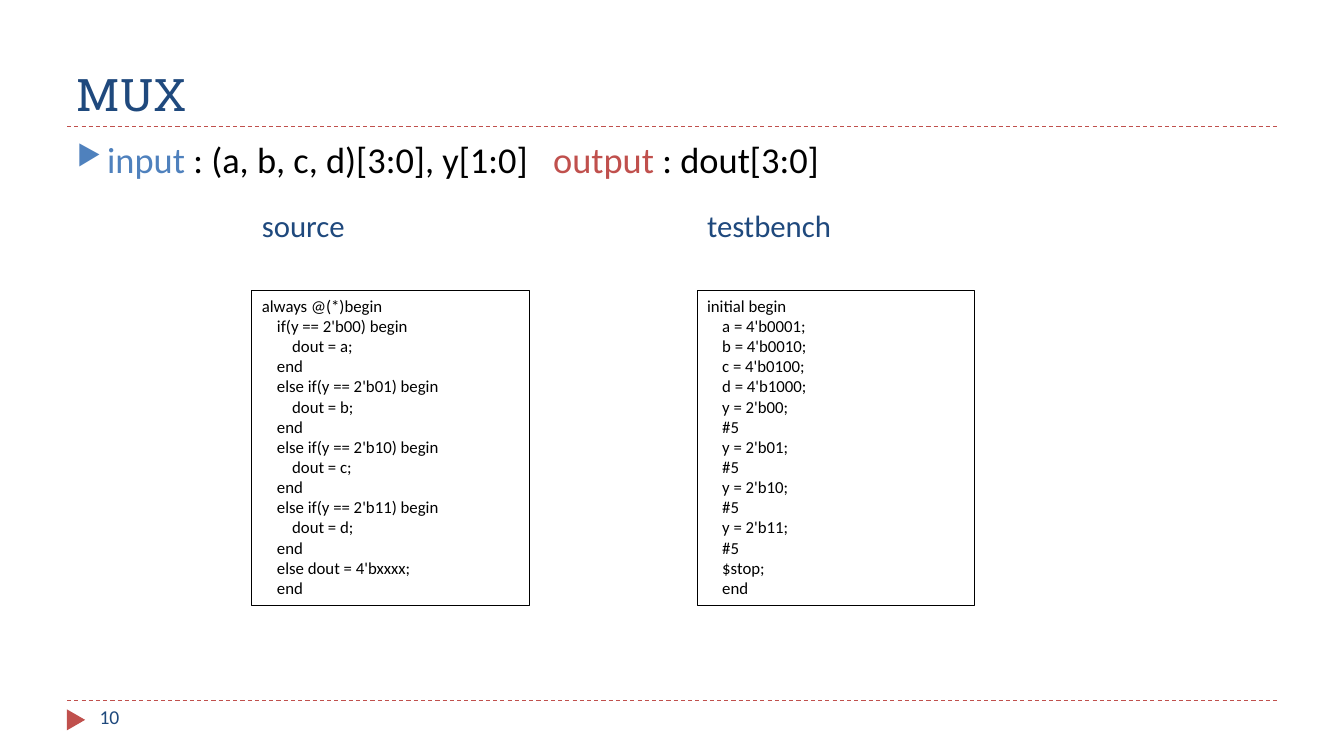
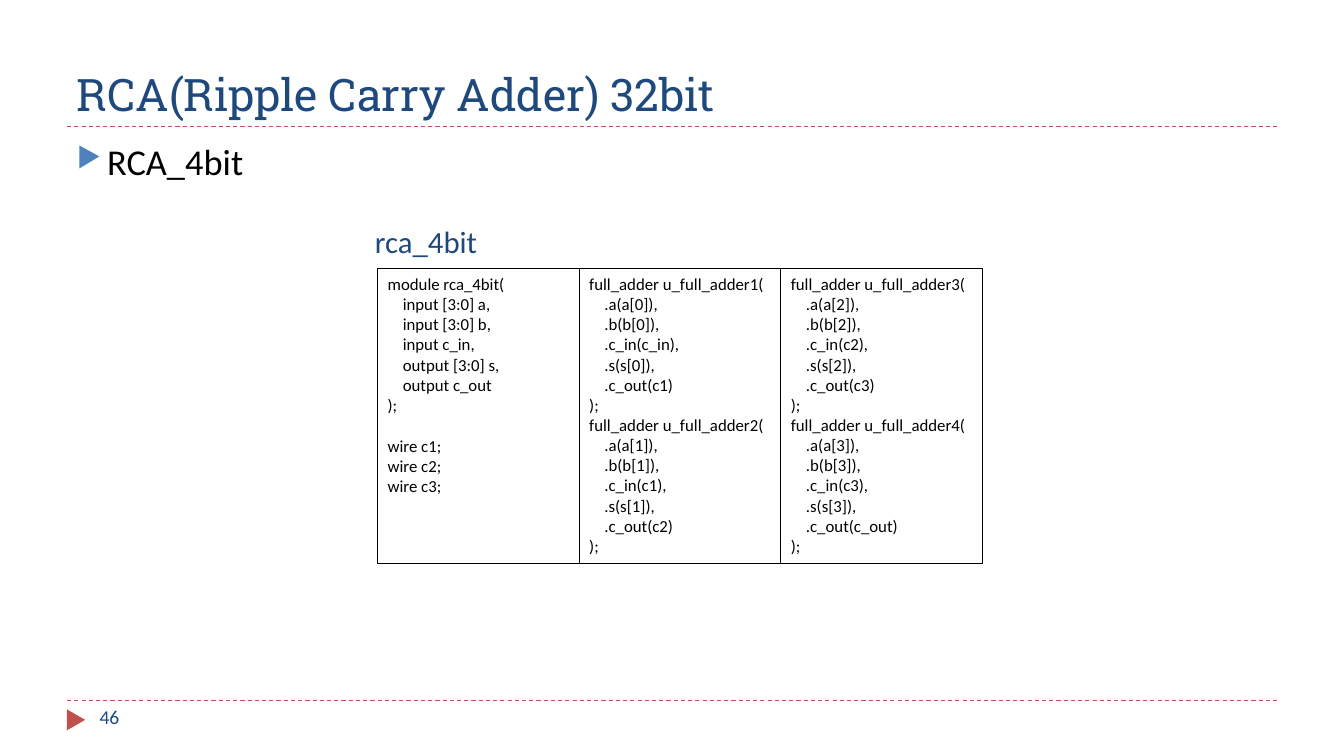
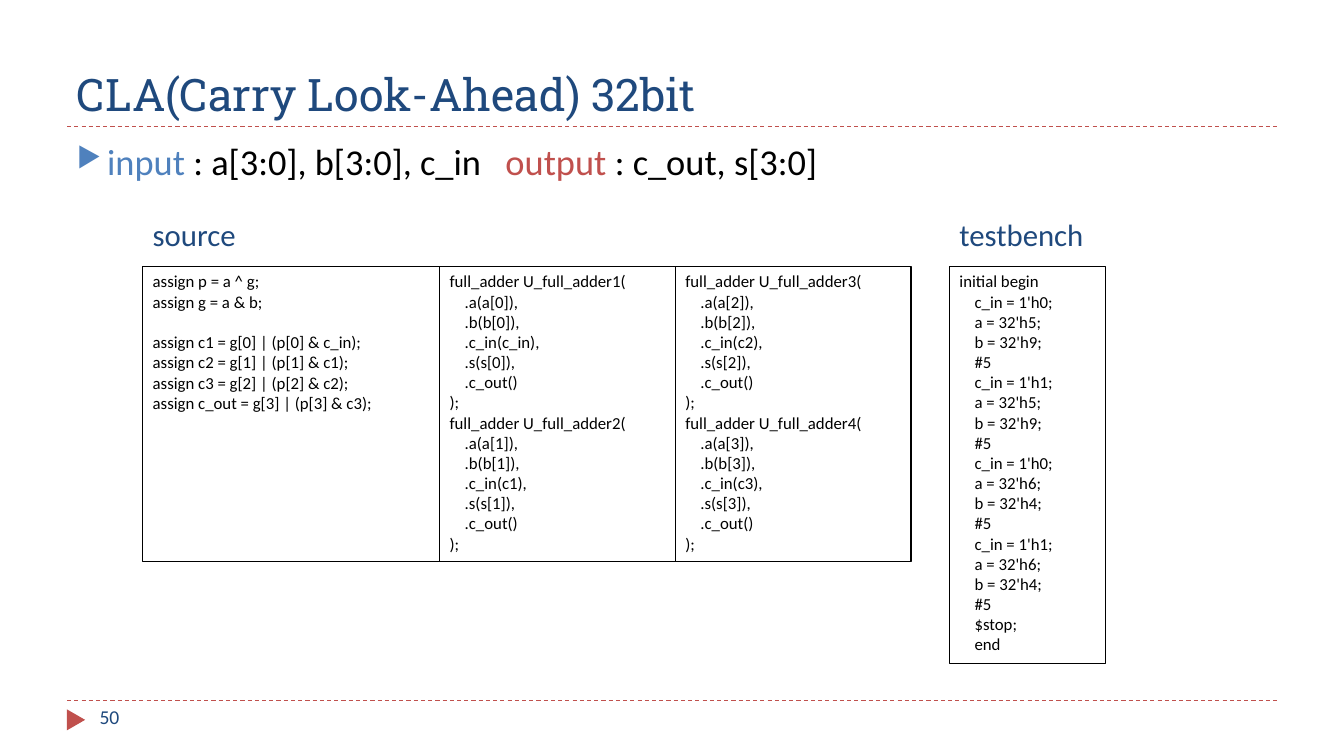
from lxml import etree
from pptx import Presentation
from pptx.dml.color import RGBColor
from pptx.enum.dml import MSO_LINE
from pptx.enum.shapes import MSO_CONNECTOR, MSO_SHAPE
from pptx.enum.text import MSO_ANCHOR, PP_ALIGN
from pptx.oxml.ns import qn
from pptx.util import Cm, Pt

STRAIGHT = MSO_CONNECTOR.STRAIGHT
RECTANGLE = MSO_SHAPE.RECTANGLE
TRIANGLE = MSO_SHAPE.ISOSCELES_TRIANGLE
DASH = MSO_LINE.DASH
TOP, BOTTOM = MSO_ANCHOR.TOP, MSO_ANCHOR.BOTTOM
LEFT = PP_ALIGN.LEFT

# Theme: colours, type styles and line width
THEME = {
    "navy": RGBColor(0x1F, 0x49, 0x7D),
    "blue": RGBColor(0x4F, 0x81, 0xBD),
    "red": RGBColor(0xC0, 0x50, 0x4D),
    "black": RGBColor(0, 0, 0),
    "title": {"name": "Roboto Slab", "size": Pt(32)},
    "body": {"name": "Calibri", "size": Pt(26)},
    "label": {"name": "Calibri", "size": Pt(22)},
    "number": {"name": "Calibri", "size": Pt(14)},
    "code": {"name": "Calibri", "size": Pt(12)},
    "line": Pt(0.75),
    "code_line": Pt(14.65),
}


def write_text(shape, paragraphs, style, anchor=TOP):
    """Fill a shape with paragraphs, each a list of (text, colour name)."""
    frame = shape.text_frame
    frame.word_wrap = True
    frame.vertical_anchor = anchor
    for index, runs in enumerate(paragraphs):
        paragraph = frame.add_paragraph() if index else frame.paragraphs[0]
        paragraph.alignment = LEFT
        for text, color in runs:
            run = paragraph.add_run()
            run.text = text
            for attribute, value in THEME[style].items():
                setattr(run.font, attribute, value)
            run.font.color.rgb = THEME[color]
    return frame


def full_adder(prefix, bit, carry_out):
    """Code of the full adder instance for one bit of the chain."""
    carry_in = f"c{bit}" if bit else "c_in"
    return f"""full_adder {prefix}_full_adder{bit + 1}(
    .a(a[{bit}]),
    .b(b[{bit}]),
    .c_in({carry_in}),
    .s(s[{bit}]),
    .c_out({carry_out})
);"""


# Code listings
MUX_SOURCE = """always @(*)begin
    if(y == 2'b00) begin
        dout = a;
    end
    else if(y == 2'b01) begin
        dout = b;
    end
    else if(y == 2'b10) begin
        dout = c;
    end
    else if(y == 2'b11) begin
        dout = d;
    end
    else dout = 4'bxxxx;
    end"""

MUX_TESTBENCH = """initial begin
    a = 4'b0001;
    b = 4'b0010;
    c = 4'b0100;
    d = 4'b1000;
    y = 2'b00;
    #5
    y = 2'b01;
    #5
    y = 2'b10;
    #5
    y = 2'b11;
    #5
    $stop;
    end"""

RCA_MODULE = """module rca_4bit(
    input [3:0] a,
    input [3:0] b,
    input c_in,
    output [3:0] s,
    output c_out
);

wire c1;
wire c2;
wire c3;"""

CLA_CARRIES = """assign p = a ^ g;
assign g = a & b;

assign c1 = g[0] | (p[0] & c_in);
assign c2 = g[1] | (p[1] & c1);
assign c3 = g[2] | (p[2] & c2);
assign c_out = g[3] | (p[3] & c3);"""

CLA_TESTBENCH = """initial begin
    c_in = 1'h0;
    a = 32'h5;
    b = 32'h9;
    #5
    c_in = 1'h1;
    a = 32'h5;
    b = 32'h9;
    #5
    c_in = 1'h0;
    a = 32'h6;
    b = 32'h4;
    #5
    c_in = 1'h1;
    a = 32'h6;
    b = 32'h4;
    #5
    $stop;
    end"""

RCA_ADDERS = [full_adder("u", bit, carry) for bit, carry in enumerate(["c1", "c2", "c3", "c_out"])]
CLA_ADDERS = [full_adder("U", bit, "") for bit in range(4)]

# Slide contents; lengths in centimetres, code columns as (width, listing)
SLIDES = [
    {
        "title": "MUX", "number": "10", "body_top": 3.33, "tab": 12,
        "body": [("input", "blue"), (" : (a, b, c, d)[3:0], y[1:0]\t", "black"),
                 ("output", "red"), (" : dout[3:0]", "black")],
        "label_top": 5.08, "code_top": 7.32,
        "groups": [
            {"label": "source", "label_left": 6.35, "left": 6.35, "height": 7.95,
             "columns": [(6.99, MUX_SOURCE)]},
            {"label": "testbench", "label_left": 17.57, "left": 17.57, "height": 7.95,
             "columns": [(6.99, MUX_TESTBENCH)]},
        ],
    },
    {
        "title": "RCA(Ripple Carry Adder) 32bit", "number": "46", "body_top": 3.38, "tab": None,
        "body": [("RCA_4bit", "black")],
        "label_top": 5.49, "code_top": 6.77,
        "groups": [
            {"label": "rca_4bit", "label_left": 9.2, "left": 9.52, "height": 7.44,
             "columns": [(5.08, RCA_MODULE),
                         (5.08, "\n".join(RCA_ADDERS[:2])),
                         (5.08, "\n".join(RCA_ADDERS[2:]))]},
        ],
    },
    {
        "title": "CLA(Carry Look-Ahead) 32bit", "number": "50", "body_top": 3.38, "tab": 10.8,
        "body": [("input", "blue"), (" : a[3:0], b[3:0], c_in\t", "black"),
                 ("output", "red"), (" : c_out, s[3:0]", "black")],
        "label_top": 5.31, "code_top": 6.71,
        "groups": [
            {"label": "source", "label_left": 3.6, "left": 3.6, "height": 7.44,
             "columns": [(7.48, CLA_CARRIES),
                         (5.94, "\n".join(CLA_ADDERS[:2])),
                         (5.94, "\n".join(CLA_ADDERS[2:]))]},
            {"label": "testbench", "label_left": 23.93, "left": 23.93, "height": 10,
             "columns": [(3.94, CLA_TESTBENCH)]},
        ],
    },
]

presentation = Presentation()
presentation.slide_width = Cm(33.87)
presentation.slide_height = Cm(19.05)

for content in SLIDES:
    slide = presentation.slides.add_slide(presentation.slide_layouts[6])
    shapes = slide.shapes

    # Dashed rules under the title and above the footer
    for rule_top in (17.65, 3.18):
        rule = shapes.add_connector(STRAIGHT, Cm(1.69), Cm(rule_top), Cm(32.17), Cm(rule_top))
        rule.line.color.rgb = THEME["red"]
        rule.line.width = THEME["line"]
        rule.line.dash_style = DASH
        etree.SubElement(rule._element.spPr, qn("a:effectLst"))

    # Footer marker and slide number
    marker = shapes.add_shape(TRIANGLE, Cm(1.65), Cm(17.91), Cm(0.53), Cm(0.46))
    marker.rotation = 90
    marker.shadow.inherit = False
    marker.fill.solid()
    marker.fill.fore_color.rgb = THEME["red"]
    marker.line.fill.background()
    number = shapes.add_textbox(Cm(2.26), Cm(17.65), Cm(7.34), Cm(1.02))
    write_text(number, [[(content["number"], "navy")]], "number")

    # Title
    title = shapes.add_textbox(Cm(1.69), Cm(0.43), Cm(30.48), Cm(2.74))
    write_text(title, [[(content["title"], "navy")]], "title", BOTTOM)

    # Bulleted summary
    body = shapes.add_textbox(Cm(1.69), Cm(content["body_top"]), Cm(30.48), Cm(13.72))
    frame = write_text(body, [content["body"]], "body")
    properties = frame.paragraphs[0]._p.get_or_add_pPr()
    properties.set("marL", str(Cm(0.76)))
    properties.set("indent", str(-Cm(0.76)))
    bullet_color = etree.SubElement(properties, qn("a:buClr"))
    etree.SubElement(bullet_color, qn("a:srgbClr"), val=str(THEME["blue"]))
    etree.SubElement(properties, qn("a:buSzPct"), val="76000")
    etree.SubElement(properties, qn("a:buChar"), char="▶")
    if content["tab"]:
        tabs = etree.SubElement(properties, qn("a:tabLst"))
        etree.SubElement(tabs, qn("a:tab"), pos=str(Cm(content["tab"])), algn="l")

    # Labelled code boxes, side by side within a group
    for group in content["groups"]:
        label = shapes.add_textbox(Cm(group["label_left"]), Cm(content["label_top"]), Cm(5.72), Cm(1.19))
        write_text(label, [[(group["label"], "navy")]], "label")
        left = group["left"]
        for width, listing in group["columns"]:
            box = shapes.add_shape(RECTANGLE, Cm(left), Cm(content["code_top"]), Cm(width), Cm(group["height"]))
            box.shadow.inherit = False
            box.fill.background()
            box.line.color.rgb = THEME["black"]
            box.line.width = THEME["line"]
            lines = listing.split("\n")
            frame = write_text(box, [[(line, "black")] for line in lines if line], "code")
            # A blank code line becomes space before the next paragraph
            if "" in lines:
                frame.paragraphs[lines.index("")].space_before = THEME["code_line"]
            left += width

presentation.save("out.pptx")
